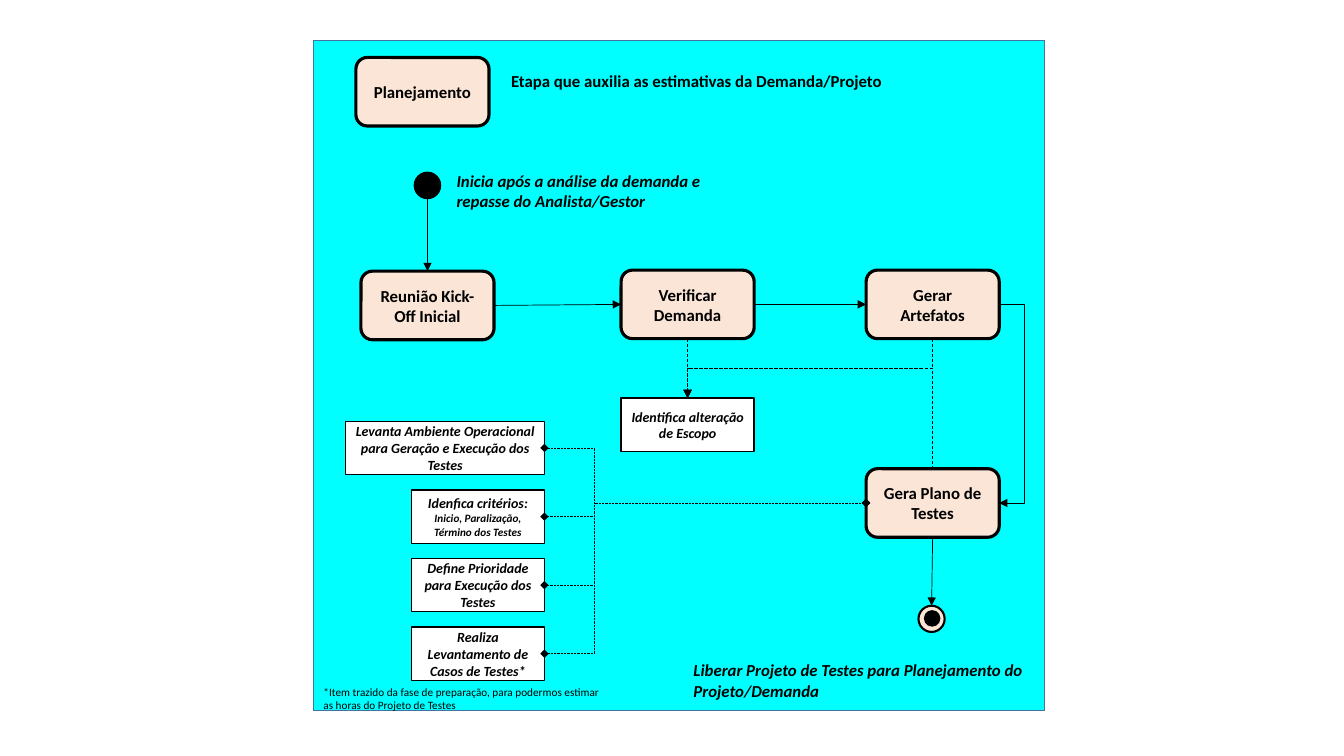
import dataclasses
import lxml.etree
import pptx
import pptx.dml.color
import pptx.enum.dml
import pptx.enum.shapes
import pptx.enum.text
import pptx.oxml.ns
import pptx.util

Inches = pptx.util.Inches
SHAPES = pptx.enum.shapes.MSO_SHAPE
CONNECTORS = pptx.enum.shapes.MSO_CONNECTOR
DASHES = pptx.enum.dml.MSO_LINE
ALIGN = pptx.enum.text.PP_ALIGN


@dataclasses.dataclass(frozen=True)
class Theme:
    """Colours, line widths and text formats."""
    panel: str = "00FFFF"
    panel_line: str = "43739E"
    step: str = "FBE5D6"
    note: str = "FFFFFF"
    ink: str = "000000"
    thin: float = 0.5
    regular: float = 1
    ring: float = 1.5
    thick: float = 2.25
    font: str = "Calibri"
    title: tuple = (12, True, False)
    remark: tuple = (12, True, True)
    detail: tuple = (10, True, True)
    small_detail: tuple = (8, True, True)
    footnote: tuple = (8, False, False)


@dataclasses.dataclass(frozen=True)
class Box:
    """A rectangle in inches on the slide."""
    left: float
    top: float
    width: float
    height: float

    def inner(self, x, y, width, height):
        """Return a box placed relative to this one."""
        return Box(self.left + x, self.top + y, width, height)

    def side(self, x, y):
        """Return the point at fractions x and y of this box."""
        return self.left + x * self.width, self.top + y * self.height

    def lengths(self):
        """Return the four measures as Inches."""
        return [Inches(value) for value in dataclasses.astuple(self)]


THEME = Theme()
STEP_SIZE = (1.32, 0.68)
NOTE_SIZE = (1.32, 0.53)
DOT_SIZE = (0.26, 0.26)
TOP, RIGHT, BOTTOM, LEFT = (0.5, 0), (1, 0.5), (0.5, 1), (0, 0.5)


def colour(value):
    """Turn a hex string into a colour."""
    return pptx.dml.color.RGBColor.from_string(value)


def write(frame, parts, align):
    """Write (text, format) parts into one paragraph, one line break between."""
    frame.word_wrap = True
    paragraph = frame.paragraphs[0]
    paragraph.alignment = align
    for index, (text, (size, bold, italic)) in enumerate(parts):
        if index:
            paragraph.add_line_break()
        run = paragraph.add_run()
        run.text = text
        values = {"name": THEME.font, "size": pptx.util.Pt(size), "bold": bold, "italic": italic}
        for name, value in values.items():
            setattr(run.font, name, value)
        run.font.color.rgb = colour(THEME.ink)


def add_block(shapes, kind, box, fill, width, line=THEME.ink, parts=()):
    """Add a filled preset shape with centred text."""
    shape = shapes.add_shape(kind, *box.lengths())
    shape.shadow.inherit = False
    shape.fill.solid()
    shape.fill.fore_color.rgb = colour(fill)
    shape.line.color.rgb = colour(line)
    shape.line.width = pptx.util.Pt(width)
    if parts:
        shape.text_frame.vertical_anchor = pptx.enum.text.MSO_ANCHOR.MIDDLE
        write(shape.text_frame, parts, ALIGN.CENTER)
    return box


def add_step(shapes, box, text):
    """Add a rounded process step."""
    return add_block(shapes, SHAPES.ROUNDED_RECTANGLE, box, THEME.step, THEME.thick,
                     parts=[(text, THEME.title)])


def add_note(shapes, box, *parts):
    """Add a white detail rectangle."""
    return add_block(shapes, SHAPES.RECTANGLE, box, THEME.note, THEME.regular, parts=parts)


def add_label(shapes, box, text, style):
    """Add a left-aligned text box."""
    frame = shapes.add_textbox(*box.lengths()).text_frame
    write(frame, [(text, style)], ALIGN.LEFT)
    frame.auto_size = pptx.enum.text.MSO_AUTO_SIZE.SHAPE_TO_FIT_TEXT


def add_link(shapes, start, end, dash=None, head=None, tail="triangle", bend=None, upright=False):
    """Add a connector; bend is the elbow's fraction, upright leaves vertically."""
    rotation = 0
    if upright:
        (x1, y1), (x2, y2) = start, end
        center_x, center_y = (x1 + x2) / 2, (y1 + y2) / 2
        along, across = abs(y2 - y1) / 2, abs(x2 - x1) / 2
        rotation = 90
        if y2 < y1:
            rotation, across = 270, -across
        start = center_x - along, center_y - across
        end = center_x + along, center_y + across
    kind = CONNECTORS.STRAIGHT if bend is None else CONNECTORS.ELBOW
    connector = shapes.add_connector(kind, *[Inches(value) for value in start + end])
    connector.line.color.rgb = colour(THEME.ink)
    connector.line.width = pptx.util.Pt(THEME.thin)
    if dash is not None:
        connector.line.dash_style = dash
    qn = pptx.oxml.ns.qn
    properties = connector._element.spPr
    if rotation:
        properties.find(qn("a:xfrm")).set("rot", str(rotation * 60000))
    if bend is not None:
        guides = properties.find(qn("a:prstGeom")).get_or_add_avLst()
        lxml.etree.SubElement(guides, qn("a:gd"), name="adj1", fmla=f"val {round(bend * 100000)}")
    line = connector.line._get_or_add_ln()
    for tag, arrow in (("a:headEnd", head), ("a:tailEnd", tail)):
        if arrow:
            lxml.etree.SubElement(line, qn(tag), type=arrow)
    lxml.etree.SubElement(properties, qn("a:effectLst"))


def add_header(shapes, panel):
    """Add the stage name and its explanation."""
    add_step(shapes, panel.inner(0.42, 0.17, *STEP_SIZE), "Planejamento")
    add_label(shapes, panel.inner(1.86, 0.25, 4.01, 0.3),
              "Etapa que auxilia as estimativas da Demanda/Projeto", THEME.title)


def add_flow(shapes, panel):
    """Add the main flow from start to end; return the plan step's box."""
    start = add_block(shapes, SHAPES.OVAL, panel.inner(1, 1.31, *DOT_SIZE), THEME.ink, THEME.regular)
    add_label(shapes, panel.inner(1.32, 1.24, 2.83, 0.5),
              "Inicia após a análise da demanda e repasse do Analista/Gestor", THEME.remark)
    kickoff, check, artifacts, plan = [
        add_step(shapes, panel.inner(x, y, *STEP_SIZE), text) for x, y, text in (
            (0.47, 2.29, "Reunião Kick-Off Inicial"), (3.05, 2.28, "Verificar Demanda"),
            (5.48, 2.28, "Gerar Artefatos"), (5.48, 4.25, "Gera Plano de Testes"))]
    finish_group = shapes.add_group_shape().shapes
    finish = add_block(finish_group, SHAPES.OVAL, panel.inner(6, 5.61, *DOT_SIZE), THEME.step, THEME.ring)
    add_block(finish_group, SHAPES.OVAL, finish.inner(0.06, 0.05, 0.15, 0.15), THEME.ink, THEME.regular)
    add_label(shapes, panel.inner(3.67, 6.1, 3.6, 0.5),
              "Liberar Projeto de Testes para Planejamento do Projeto/Demanda", THEME.remark)
    scope = add_note(shapes, panel.inner(3.05, 3.55, *NOTE_SIZE),
                     ("Identifica alteração de Escopo", THEME.detail))

    start_x, start_y = start.side(*BOTTOM)
    add_link(shapes, (start_x, start_y), (start_x, kickoff.top))
    add_link(shapes, kickoff.side(*RIGHT), check.side(*LEFT))
    add_link(shapes, check.side(*RIGHT), artifacts.side(*LEFT))
    add_link(shapes, plan.side(*BOTTOM), finish.side(*TOP))
    # The elbow needs a small width so that its bend can be a fraction of it.
    loop_x, loop_y = artifacts.side(*RIGHT)
    add_link(shapes, (loop_x + 0.01, loop_y), plan.side(*RIGHT), bend=-24)
    target = scope.side(*TOP)
    add_link(shapes, check.side(*BOTTOM), target, DASHES.DASH)
    add_link(shapes, artifacts.side(*BOTTOM), target, DASHES.DASH, bend=0.5, upright=True)
    add_link(shapes, plan.side(*TOP), target, DASHES.DASH, bend=1.42, upright=True)
    return plan


def add_details(shapes, panel, plan):
    """Add the stacked plan details, their links and the footnote."""
    details = (
        (1.97, [("Levanta Ambiente Operacional para Geração e Execução dos Testes", THEME.detail)]),
        (1.32, [("Idenfica critérios:", THEME.detail),
                ("Inicio, Paralização, Término dos Testes", THEME.small_detail)]),
        (1.32, [("Define Prioridade para Execução dos Testes", THEME.detail)]),
        (1.32, [("Realiza Levantamento de Casos de Testes*", THEME.detail)]))
    right, first_top, pitch = 2.29, 3.78, 0.68
    for index, (width, parts) in enumerate(details):
        box = panel.inner(right - width, first_top + index * pitch, width, NOTE_SIZE[1])
        add_note(shapes, box, *parts)
        add_link(shapes, plan.side(*LEFT), box.side(*RIGHT), DASHES.ROUND_DOT,
                 head="diamond", tail="diamond", bend=0.845)
    add_label(shapes, panel.inner(0, 6.35, 3.05, 0.37),
              "*Item trazido da fase de preparação, para podermos estimar as horas do Projeto de Testes",
              THEME.footnote)


def add_planning_slide(presentation, panel):
    """Add the planning flow slide inside the given panel box."""
    shapes = presentation.slides.add_slide(presentation.slide_layouts[6]).shapes
    add_block(shapes, SHAPES.RECTANGLE, panel, THEME.panel, THEME.regular, THEME.panel_line)
    add_header(shapes, panel)
    plan = add_flow(shapes, panel)
    add_details(shapes, panel, plan)


presentation = pptx.Presentation()
presentation.slide_width = Inches(13.33)
presentation.slide_height = Inches(7.5)
add_planning_slide(presentation, Box(3.11, 0.4, 7.25, 6.65))
presentation.save("out.pptx")
